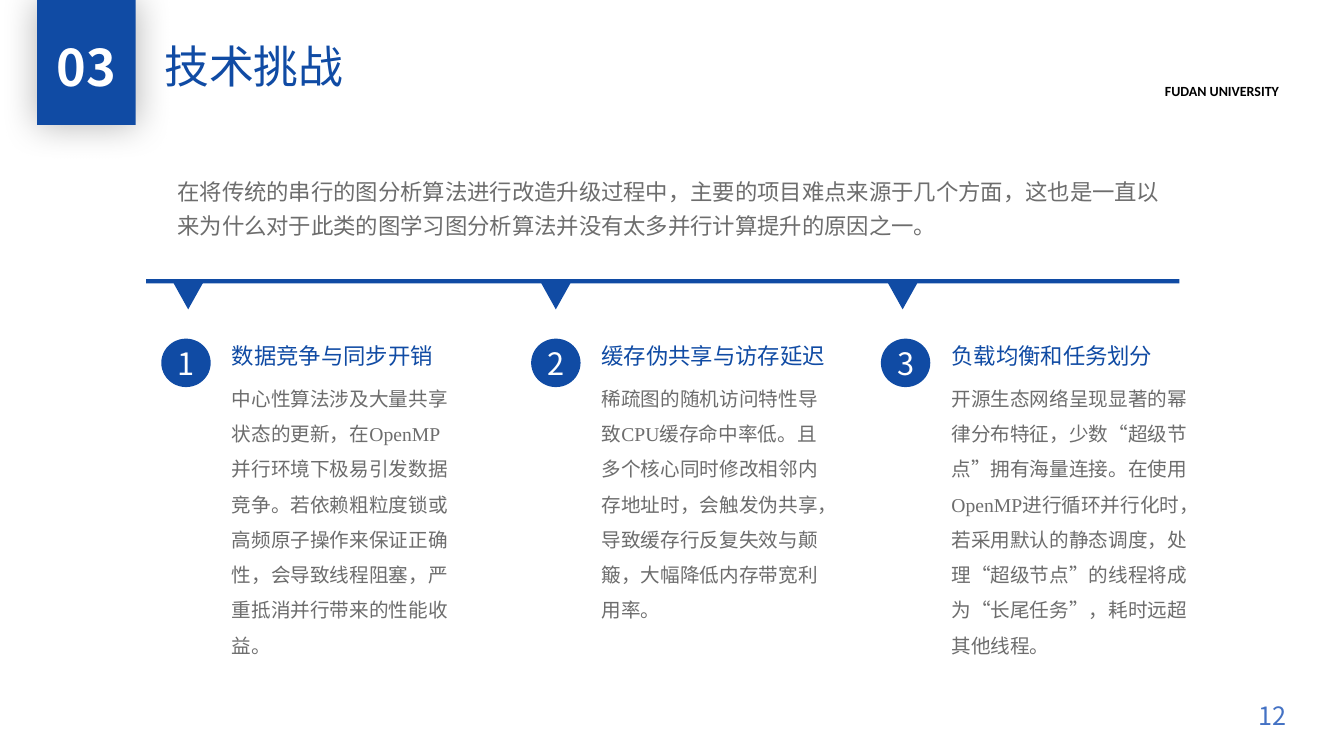
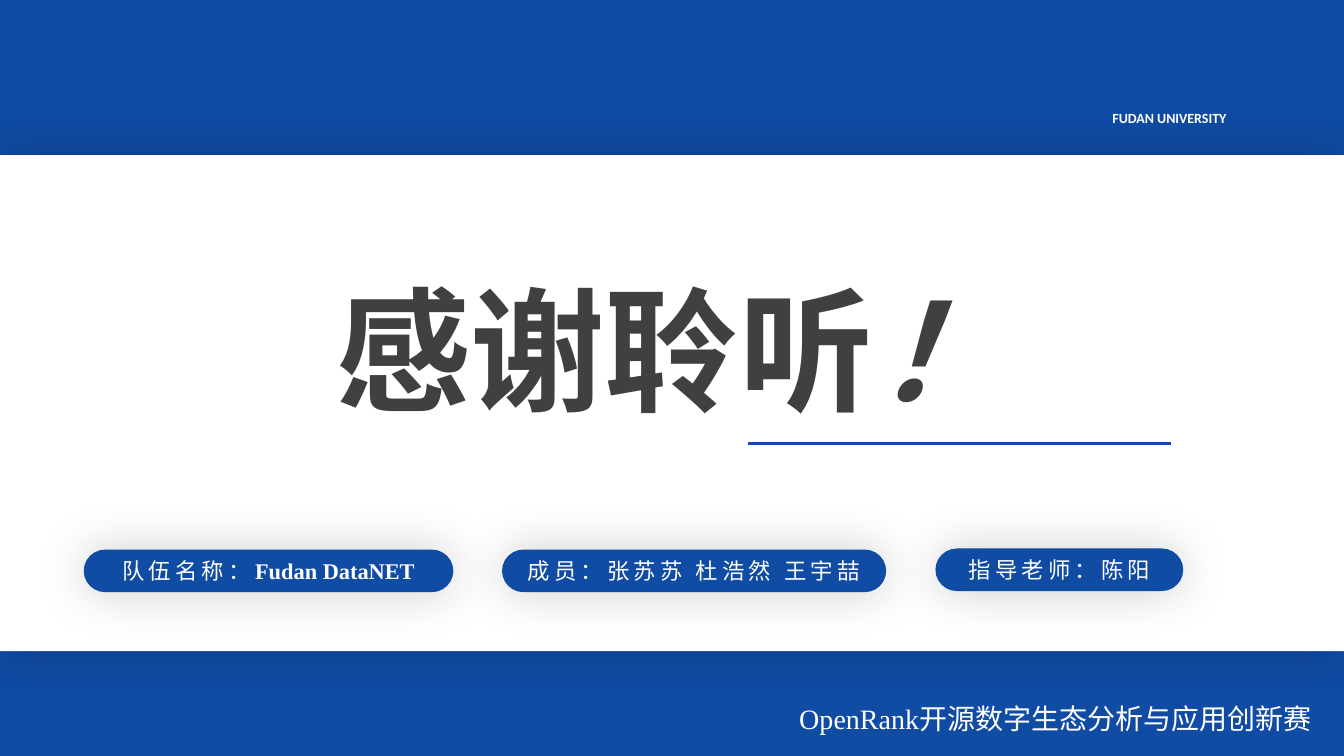
from dataclasses import dataclass, replace

import lxml.etree
import pptx
import pptx.dml.color
import pptx.enum.shapes
import pptx.enum.text
import pptx.oxml.ns
import pptx.shapes.autoshape
import pptx.slide
import pptx.text.text
import pptx.util

Pt = pptx.util.Pt
RGBColor = pptx.dml.color.RGBColor
Shape = pptx.shapes.autoshape.Shape
Slide = pptx.slide.Slide
ALIGN = pptx.enum.text.PP_ALIGN
ANCHOR = pptx.enum.text.MSO_ANCHOR
KIND = pptx.enum.shapes.MSO_SHAPE
qn = pptx.oxml.ns.qn

BLUE = RGBColor(0x10, 0x4B, 0xA4)
PAGE_BLUE = RGBColor(0x44, 0x72, 0xC4)
WHITE = RGBColor(0xFF, 0xFF, 0xFF)
BLACK = RGBColor(0x00, 0x00, 0x00)
GREY = RGBColor(0x6D, 0x6D, 0x6D)
CHARCOAL = RGBColor(0x40, 0x40, 0x40)

SANS = "Noto Sans CJK SC"
SANS_TC = "Noto Sans CJK TC"
SERIF = "Times New Roman"
PAGE_WIDTH, PAGE_HEIGHT = 960, 540


@dataclass(frozen=True)
class Area:
    left: float
    top: float
    width: float
    height: float

    def lengths(self) -> tuple[int, int, int, int]:
        return Pt(self.left), Pt(self.top), Pt(self.width), Pt(self.height)


@dataclass(frozen=True)
class Style:
    size: float
    color: RGBColor
    name: str = SANS
    east_asian: str = SANS
    bold: bool = False
    italic: bool = False
    tracking: float = 0


@dataclass(frozen=True)
class Span:
    text: str
    style: Style


@dataclass(frozen=True)
class Shadow:
    opacity: int
    blur: float


@dataclass(frozen=True)
class Challenge:
    left: float
    marker_left: float
    width: float
    heading: str
    body: str


@dataclass(frozen=True)
class Pill:
    area: Area
    spans: tuple[Span, ...]


SECTION = Style(36, WHITE, bold=True)
TITLE = Style(32, BLUE)
UNIVERSITY = Style(10, BLACK, "Calibri", bold=True)
INTRO = Style(16, GREY)
HEADING = Style(16, BLUE, SANS_TC, SANS_TC)
BODY = Style(14, GREY, SERIF)
NUMBER = Style(22, WHITE, SANS_TC, SANS_TC)
PAGE_NUMBER = Style(18, PAGE_BLUE)
THANKS = Style(96, CHARCOAL, bold=True)
LABEL = Style(16, WHITE, tracking=3)
TEAM = Style(16, WHITE, SERIF, bold=True)
EVENT = Style(20, WHITE)

CHALLENGES = (
    Challenge(
        115.2, 124, 165, "数据竞争与同步开销",
        "中心性算法涉及大量共享状态的更新，在OpenMP 并行环境下极易引发数据竞争。"
        "若依赖粗粒度锁或高频原子操作来保证正确性，会导致线程阻塞，严重抵消并行带来的性能收益。",
    ),
    Challenge(
        379.4, 386.6, 162.7, "缓存伪共享与访存延迟",
        "稀疏图的随机访问特性导致CPU缓存命中率低。且多个核心同时修改相邻内存地址时，"
        "会触发伪共享，导致缓存行反复失效与颠簸，大幅降低内存带宽利用率。",
    ),
    Challenge(
        629.2, 634.3, 180.7, "负载均衡和任务划分",
        "开源生态网络呈现显著的幂律分布特征，少数“超级节点”拥有海量连接。"
        "在使用 OpenMP进行循环并行化时，若采用默认的静态调度，"
        "处理“超级节点”的线程将成为“长尾任务”，耗时远超其他线程。",
    ),
)

PILLS = (
    Pill(Area(59.8, 392.6, 264, 30.4),
         (Span("队伍名称：", LABEL), Span("Fudan DataNET", TEAM))),
    Pill(Area(358.6, 392.6, 274.4, 30.4),
         (Span("成员：张苏苏 杜浩然 王宇喆", LABEL),)),
    Pill(Area(668.2, 391.8, 177, 30.4), (Span("指导老师：陈阳", LABEL),)),
)


def set_font(font: pptx.text.text.Font, style: Style) -> None:
    font.size = Pt(style.size)
    font.bold = style.bold
    font.italic = style.italic
    font.color.rgb = style.color
    font.name = style.name
    properties = font._rPr
    lxml.etree.SubElement(properties, qn("a:ea"), typeface=style.east_asian)
    if style.tracking:
        properties.set("spc", str(round(style.tracking * 100)))


def write(
    shape: Shape,
    spans: tuple[Span, ...],
    align: ALIGN = ALIGN.LEFT,
    anchor: ANCHOR = ANCHOR.TOP,
    line_spacing: float = 1.0,
    inset: bool = True,
) -> None:
    """Fill a shape with one paragraph; inset False removes its margins."""
    frame = shape.text_frame
    frame.word_wrap = True
    frame.vertical_anchor = anchor
    if not inset:
        frame.margin_left = frame.margin_right = Pt(0)
        frame.margin_top = frame.margin_bottom = Pt(0)
    para = frame.paragraphs[0]
    para.alignment = align
    para.line_spacing = line_spacing
    uniform = len({span.style for span in spans}) == 1
    if uniform:
        set_font(para.font, spans[0].style)
    for span in spans:
        run = para.add_run()
        run.text = span.text
        if not uniform:
            set_font(run.font, span.style)


def add_text(page: Slide, area: Area, *spans: Span, **layout) -> None:
    write(page.shapes.add_textbox(*area.lengths()), spans, **layout)


def add_solid(
    page: Slide,
    kind: KIND,
    area: Area,
    color: RGBColor = BLUE,
    shadow: Shadow | None = None,
) -> Shape:
    shape = page.shapes.add_shape(kind, *area.lengths())
    shape.fill.solid()
    shape.fill.fore_color.rgb = color
    shape.line.fill.background()
    shape.shadow.inherit = False
    if shadow:
        effects = shape._element.spPr.find(qn("a:effectLst"))
        outer = lxml.etree.SubElement(
            effects, qn("a:outerShdw"), blurRad=str(Pt(shadow.blur)),
            dist="0", dir="0", algn="ctr", rotWithShape="0",
        )
        tint = lxml.etree.SubElement(outer, qn("a:srgbClr"), val=str(BLACK))
        lxml.etree.SubElement(tint, qn("a:alpha"), val=str(shadow.opacity * 1000))
    return shape


def add_rule(page: Slide, left: float, right: float, top: float) -> None:
    rule = page.shapes.add_connector(
        pptx.enum.shapes.MSO_CONNECTOR.STRAIGHT,
        Pt(left), Pt(top), Pt(right), Pt(top),
    )
    rule.line.color.rgb = BLUE
    rule.line.width = Pt(2)
    lxml.etree.SubElement(rule._element.spPr, qn("a:effectLst"))


def add_university(page: Slide, left: float, top: float, color: RGBColor) -> None:
    add_text(page, Area(left, top, 101, 19.4),
             Span("FUDAN UNIVERSITY", replace(UNIVERSITY, color=color)),
             align=ALIGN.JUSTIFY)


def add_header(page: Slide, section: str, title: str) -> None:
    add_solid(page, KIND.RECTANGLE, Area(26.6, 0, 70.4, 89.3), shadow=Shadow(30, 26))
    add_text(page, Area(23.3, 22.3, 77, 51), Span(section, SECTION), align=ALIGN.CENTER)
    add_text(page, Area(110.2, 23.8, 286, 46), Span(title, TITLE))
    add_university(page, 825, 55.4, BLACK)


def add_challenge(page: Slide, number: int, challenge: Challenge) -> None:
    add_solid(page, KIND.FLOWCHART_MERGE, Area(challenge.marker_left, 202.3, 20.9, 18.7))
    circle = add_solid(page, KIND.OVAL, Area(challenge.left, 241.9, 35.3, 34.6))
    write(circle, (Span(str(number), NUMBER),), align=ALIGN.CENTER,
          anchor=ANCHOR.MIDDLE, inset=False)
    text_left = challenge.left + 50.4
    add_text(page, Area(text_left, 243.4, challenge.width, 23),
             Span(challenge.heading, HEADING),
             anchor=ANCHOR.MIDDLE, line_spacing=0.9, inset=False)
    add_text(page, Area(text_left, 267.8, challenge.width, 210),
             Span(challenge.body, BODY), line_spacing=1.5, inset=False)


def build_challenges(page: Slide) -> None:
    add_header(page, "03", "技术挑战")
    add_text(
        page, Area(126.7, 122.4, 706.3, 57),
        Span("在将传统的串行的图分析算法进行改造升级过程中，主要的项目难点来源于几个方面，"
             "这也是一直以来为什么对于此类的图学习图分析算法并没有太多并行计算提升的原因之一。", INTRO),
        line_spacing=1.25, inset=False,
    )
    add_solid(page, KIND.RECTANGLE, Area(104.4, 199.4, 738, 3))
    for number, challenge in enumerate(CHALLENGES, start=1):
        add_challenge(page, number, challenge)
    add_text(page, Area(710, 496.8, 216, 28.8), Span("12", PAGE_NUMBER),
             align=ALIGN.RIGHT, anchor=ANCHOR.MIDDLE)


def build_thanks(page: Slide) -> None:
    add_solid(page, KIND.RECTANGLE, Area(0, 0, PAGE_WIDTH, PAGE_HEIGHT),
              shadow=Shadow(20, 40))
    add_solid(page, KIND.RECTANGLE, Area(0, 110.9, PAGE_WIDTH, 354.2), WHITE,
              Shadow(18, 36))
    add_text(page, Area(0, 158.4, PAGE_WIDTH, 139.7), Span("感谢聆听", THANKS),
             Span("！", replace(THANKS, italic=True)),
             align=ALIGN.CENTER, line_spacing=1.25)
    add_university(page, 787.5, 74.9, WHITE)
    add_rule(page, 534.2, 836.6, 316.8)
    add_text(page, Area(563.8, 497.5, 395.3, 31.7),
             Span("OpenRank", replace(EVENT, name=SERIF)),
             Span("开源数字生态分析与应用创新赛", EVENT))
    for pill in PILLS:
        shape = add_solid(page, KIND.ROUNDED_RECTANGLE, pill.area, shadow=Shadow(20, 36))
        shape.adjustments[0] = 0.5
        write(shape, pill.spans, align=ALIGN.CENTER, anchor=ANCHOR.MIDDLE)


def main() -> None:
    deck = pptx.Presentation()
    deck.slide_width, deck.slide_height = Pt(PAGE_WIDTH), Pt(PAGE_HEIGHT)
    blank = deck.slide_layouts[6]
    for build in (build_challenges, build_thanks):
        build(deck.slides.add_slide(blank))
    deck.save("out.pptx")


if __name__ == "__main__":
    main()
